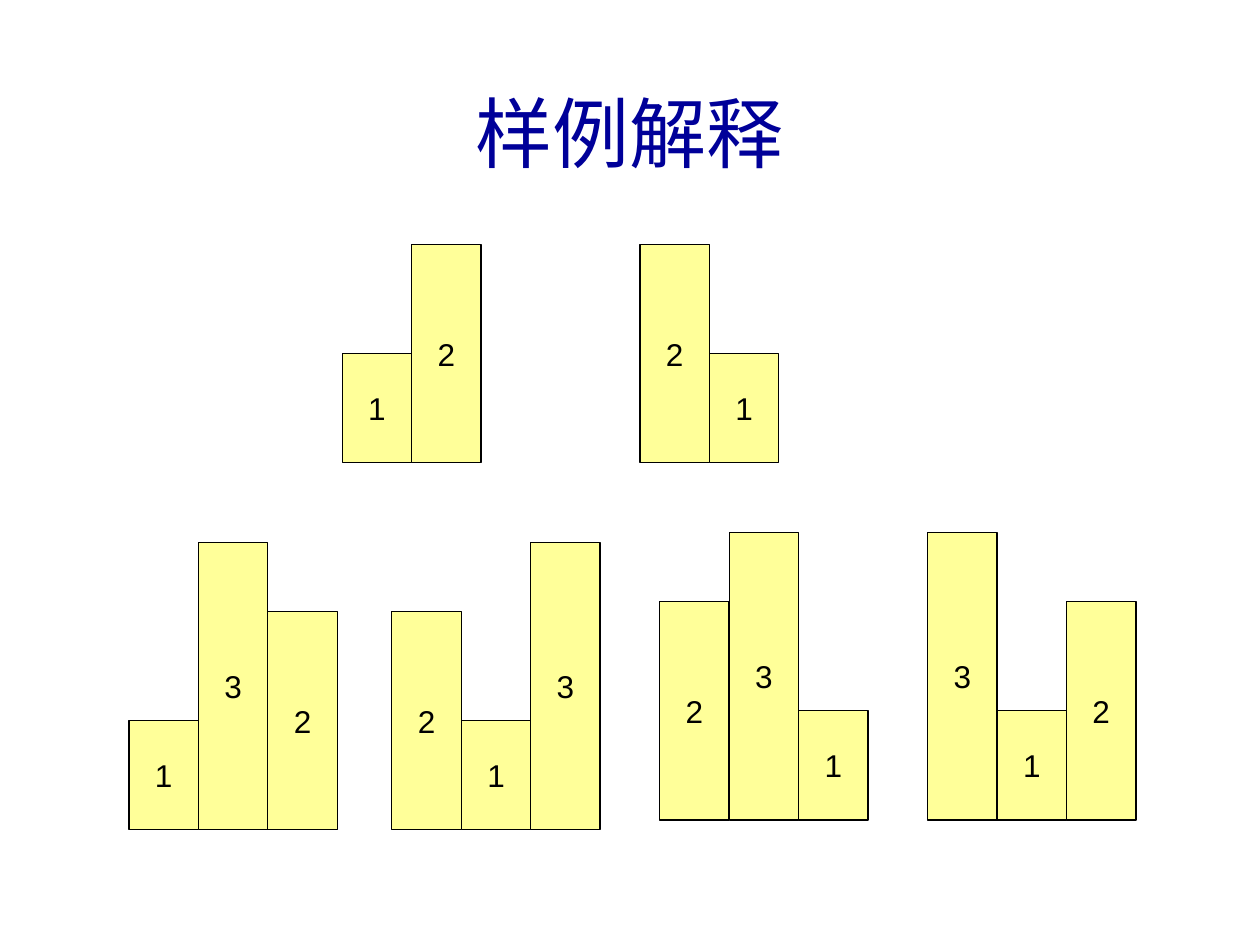
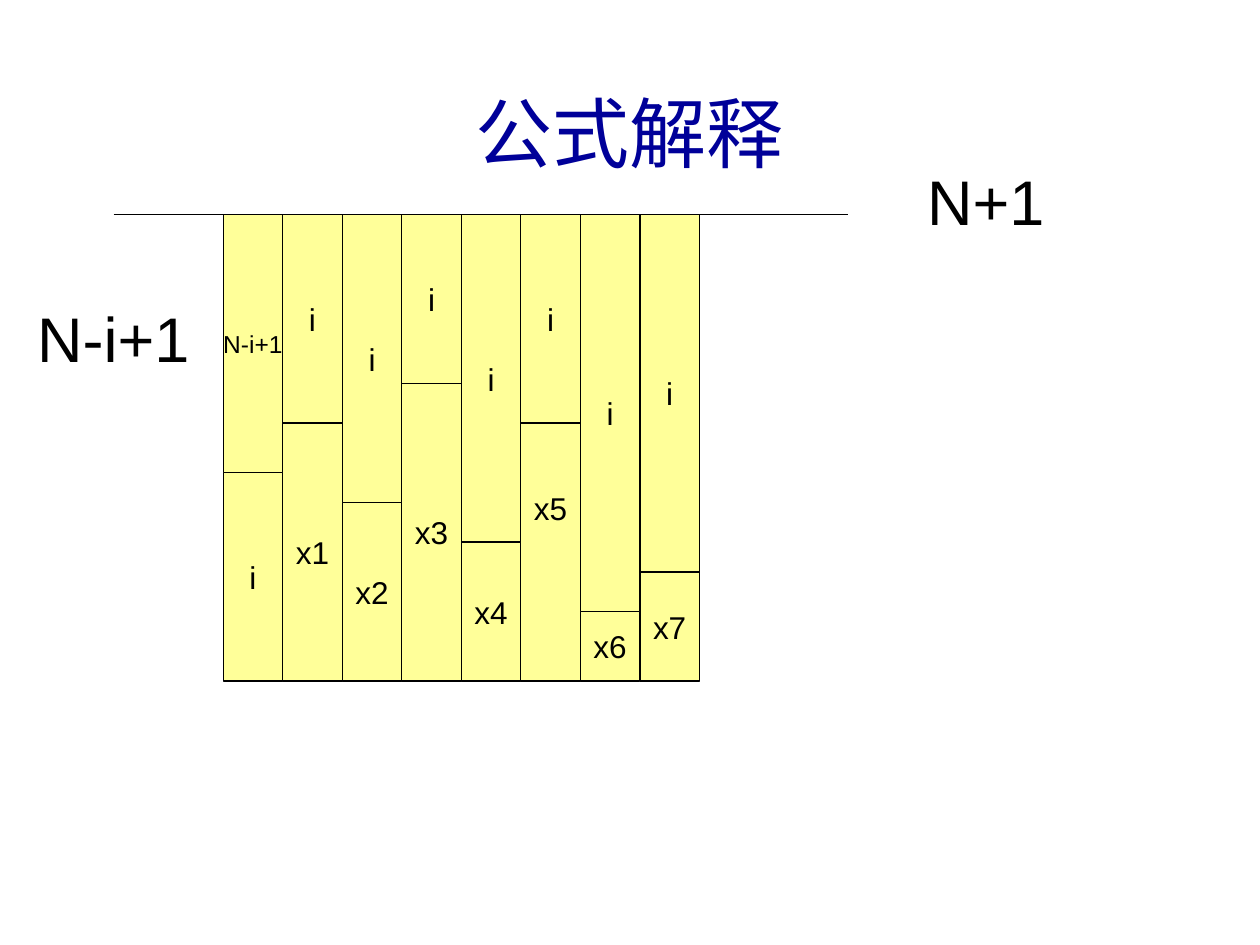
import dataclasses

import pptx
import pptx.dml.color
import pptx.enum.shapes
import pptx.enum.text
import pptx.util
from lxml import etree

COLORS = {"title": "000099", "bar": "FFFF99", "ink": "000000"}
FONT = "Arial"
COLS = 127  # grid columns across the slide; rows have the same pitch
CELL = pptx.util.Inches(10) / COLS
LINE_WIDTH = pptx.util.Pt(0.75)
ANCHOR = pptx.enum.text.MSO_ANCHOR
ALIGN = pptx.enum.text.PP_ALIGN
BAR_HEIGHTS = {1: 11, 2: 22, 3: 29}


@dataclasses.dataclass(frozen=True)
class Box:
    col: float
    row: float
    cols: float
    rows: float

    def emu(self) -> list[int]:
        return [round(n * CELL) for n in (self.col, self.row, self.cols, self.rows)]


@dataclasses.dataclass(frozen=True)
class Arrangement:
    """Adjacent bars in the given order, standing on one base row."""
    col: float
    base: float
    order: tuple[int, ...]


@dataclasses.dataclass(frozen=True)
class Column:
    """A bar from the base up and its complement from the ceiling down."""
    name: str
    lower: int
    upper: int
    upper_name: str = "i"
    upper_size: int = 18


TITLE_BOX = Box(4.2, 5.3, 118.6, 15.9)
BAR_COLS = 7
ARRANGEMENTS = (
    Arrangement(34.5, 46.65, (1, 2)),
    Arrangement(64.5, 46.65, (2, 1)),
    Arrangement(13, 83.65, (1, 3, 2)),
    Arrangement(39.5, 83.65, (2, 1, 3)),
    Arrangement(66.5, 82.65, (2, 3, 1)),
    Arrangement(93.5, 82.65, (3, 1, 2)),
)

COLUMN_LEFT, COLUMN_COLS = 22.5, 6
CEILING, BASE = 21.65, 68.65
COLUMNS = (
    Column("i", 21, 26, "N-i+1", 14),
    Column("x1", 26, 21),
    Column("x2", 18, 29),
    Column("x3", 30, 17),
    Column("x4", 14, 33),
    Column("x5", 35, 21),
    Column("x6", 7, 40),
    Column("x7", 11, 36),
)


def rgb(name: str) -> pptx.dml.color.RGBColor:
    return pptx.dml.color.RGBColor.from_string(COLORS[name])


def set_text(sp, text: str, size: int, color: str = "ink", align=ALIGN.CENTER,
             anchor=ANCHOR.MIDDLE, wrap: bool = False) -> None:
    tf = sp.text_frame
    for name, value in {"word_wrap": wrap, "vertical_anchor": anchor}.items():
        setattr(tf, name, value)
    p = tf.paragraphs[0]
    p.alignment = align
    r = p.add_run()
    r.text = text
    for name, value in {"name": FONT, "size": pptx.util.Pt(size)}.items():
        setattr(r.font, name, value)
    r.font.color.rgb = rgb(color)


def add_titled_slide(prs, title: str):
    s = prs.slides.add_slide(prs.slide_layouts[5])
    sp = s.shapes.title
    for name, value in zip(("left", "top", "width", "height"), TITLE_BOX.emu()):
        setattr(sp, name, value)
    set_text(sp, title, 44, "title", wrap=True)
    return s


def add_bar(s, box: Box, text: str, size: int = 18) -> None:
    sp = s.shapes.add_shape(pptx.enum.shapes.MSO_SHAPE.RECTANGLE, *box.emu())
    sp.shadow.inherit = False
    sp.fill.solid()
    sp.fill.fore_color.rgb = rgb("bar")
    sp.line.color.rgb = rgb("ink")
    sp.line.width = LINE_WIDTH
    set_text(sp, text, size)


def add_label(s, box: Box, text: str) -> None:
    sp = s.shapes.add_textbox(*box.emu())
    set_text(sp, text, 36, align=ALIGN.LEFT, anchor=ANCHOR.TOP)


def add_level_line(s, start: float, end: float, row: float) -> None:
    x1, y, x2 = (round(n * CELL) for n in (start, row, end))
    line = s.shapes.add_connector(pptx.enum.shapes.MSO_CONNECTOR.STRAIGHT, x1, y, x2, y)
    line.line.color.rgb = rgb("ink")
    line.line.width = LINE_WIDTH
    etree.SubElement(line._element.spPr, pptx.oxml.ns.qn("a:effectLst"))


def build_sample_slide(prs) -> None:
    s = add_titled_slide(prs, "样例解释")
    for a in ARRANGEMENTS:
        for i, number in enumerate(a.order):
            rows = BAR_HEIGHTS[number]
            add_bar(s, Box(a.col + i * BAR_COLS, a.base - rows, BAR_COLS, rows), str(number))


def build_formula_slide(prs) -> None:
    s = add_titled_slide(prs, "公式解释")
    lefts = [COLUMN_LEFT + i * COLUMN_COLS for i in range(len(COLUMNS))]
    for left, c in zip(lefts, COLUMNS):
        add_bar(s, Box(left, BASE - c.lower, COLUMN_COLS, c.lower), c.name)
    add_level_line(s, 11.45, 85.5, CEILING)
    add_label(s, Box(92.2, 15.75, 14.35, 8.9), "N+1")
    for left, c in zip(lefts, COLUMNS):
        add_bar(s, Box(left, CEILING, COLUMN_COLS, c.upper), c.upper_name, c.upper_size)
    add_label(s, Box(2.5, 29.6, 17.9, 8.9), "N-i+1")


def main() -> None:
    prs = pptx.Presentation()
    prs.slide_width = pptx.util.Inches(10)
    prs.slide_height = pptx.util.Inches(7.5)
    build_sample_slide(prs)
    build_formula_slide(prs)
    prs.save("out.pptx")


if __name__ == "__main__":
    main()
